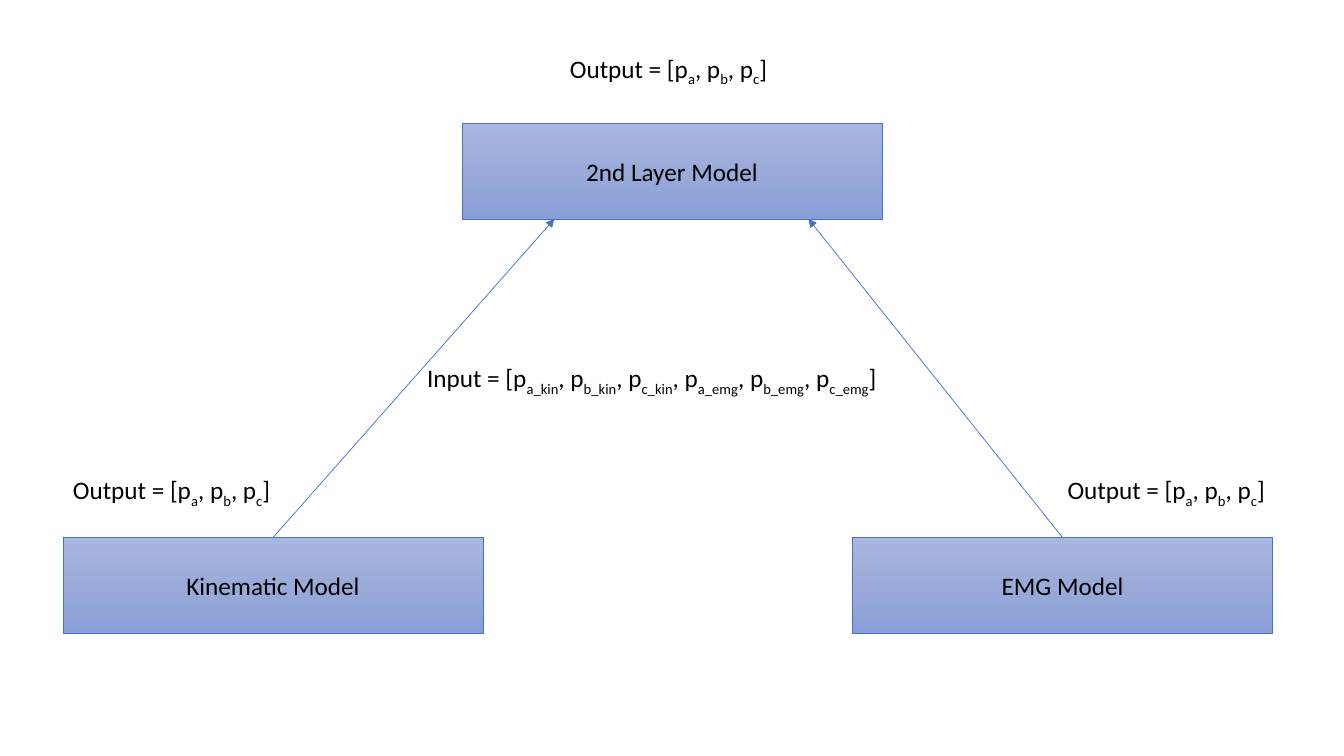
"""Build a slide showing a two-layer model fed by kinematic and EMG models."""
from copy import deepcopy
from dataclasses import dataclass

from pptx import Presentation
from pptx.dml.color import RGBColor
from pptx.enum.shapes import MSO_CONNECTOR, MSO_SHAPE
from pptx.enum.text import MSO_ANCHOR, MSO_AUTO_SIZE, PP_ALIGN
from pptx.oxml.ns import qn
from pptx.util import Pt
from lxml import etree

RECT = MSO_SHAPE.RECTANGLE
STRAIGHT = MSO_CONNECTOR.STRAIGHT
MIDDLE = MSO_ANCHOR.MIDDLE
CENTER = PP_ALIGN.CENTER
FIT_SHAPE = MSO_AUTO_SIZE.SHAPE_TO_FIT_TEXT

BOX_W, BOX_H = 300, 68.4
LABEL_H = 29
TOP_Y, BOTTOM_Y = 88, 384
KINEMATIC_X, SECOND_X, EMG_X = 45, 330, 609
CLASSES = ["a", "b", "c"]


@dataclass(frozen=True)
class Theme:
    font: str = "Calibri"
    size: float = 18
    text: str = "000000"
    line: str = "4472C4"
    line_width: float = 0.5
    gradient: tuple = ("A8B7DF", "9AABD9", "889ED7")


class Diagram:
    def __init__(self, slide, theme):
        self.slide = slide
        self.theme = theme

    def style_font(self, font):
        font.name = self.theme.font
        font.size = Pt(self.theme.size)
        font.color.rgb = RGBColor.from_string(self.theme.text)

    def style_line(self, line):
        line.color.rgb = RGBColor.from_string(self.theme.line)
        line.width = Pt(self.theme.line_width)

    def box(self, x, y, text):
        sp = self.slide.shapes.add_shape(RECT, Pt(x), Pt(y), Pt(BOX_W), Pt(BOX_H))
        sp.shadow.inherit = False
        self.style_line(sp.line)
        sp.fill.gradient()
        sp.fill.gradient_angle = 270
        first = sp._element.spPr.find(".//" + qn("a:gs"))
        first.addnext(deepcopy(first))
        for i, (stop, color) in enumerate(zip(sp.fill.gradient_stops, self.theme.gradient)):
            stop.position = i / 2
            stop.color.rgb = RGBColor.from_string(color)
        tf = sp.text_frame
        tf.text = text
        tf.vertical_anchor = MIDDLE
        p = tf.paragraphs[0]
        p.alignment = CENTER
        self.style_font(p.runs[0].font)

    def arrow(self, x1, y1, x2, y2):
        line = self.slide.shapes.add_connector(STRAIGHT, Pt(x1), Pt(y1), Pt(x2), Pt(y2))
        self.style_line(line.line)
        ln = line.line._get_or_add_ln()
        etree.SubElement(ln, qn("a:tailEnd"), type="triangle")
        etree.SubElement(line._element.spPr, qn("a:effectLst"))

    def vector(self, x, y, w, name, subscripts):
        sp = self.slide.shapes.add_textbox(Pt(x), Pt(y), Pt(w), Pt(LABEL_H))
        tf = sp.text_frame
        tf.word_wrap = True
        tf.auto_size = FIT_SHAPE
        p = tf.paragraphs[0]
        lead = f"{name} = [p"
        for subscript in subscripts:
            self.run(p, lead)
            self.run(p, subscript, -25000)
            lead = ", p"
        self.run(p, "]")

    def run(self, p, text, baseline=0):
        r = p.add_run()
        r.text = text
        self.style_font(r.font)
        if baseline:
            r._r.get_or_add_rPr().set("baseline", str(baseline))


def main():
    prs = Presentation()
    prs.slide_width, prs.slide_height = Pt(960), Pt(540)
    s = prs.slides.add_slide(prs.slide_layouts[6])
    d = Diagram(s, Theme())

    d.box(KINEMATIC_X, BOTTOM_Y, "Kinematic Model")
    d.box(EMG_X, BOTTOM_Y, "EMG Model")
    d.box(SECOND_X, TOP_Y, "2nd Layer Model")

    for box_x, tip_x in [(KINEMATIC_X, 396), (EMG_X, 577.5)]:
        d.arrow(box_x + BOX_W / 2, BOTTOM_Y, tip_x, TOP_Y + BOX_H)

    for x, y in [(45, 335.5), (755.5, 335.5), (400, 34.5)]:
        d.vector(x, y, 160, "Output", CLASSES)
    inputs = [f"{c}_{model}" for model in ("kin", "emg") for c in CLASSES]
    d.vector(298, 255.5, 363.5, "Input", inputs)

    prs.save("out.pptx")


if __name__ == "__main__":
    main()
